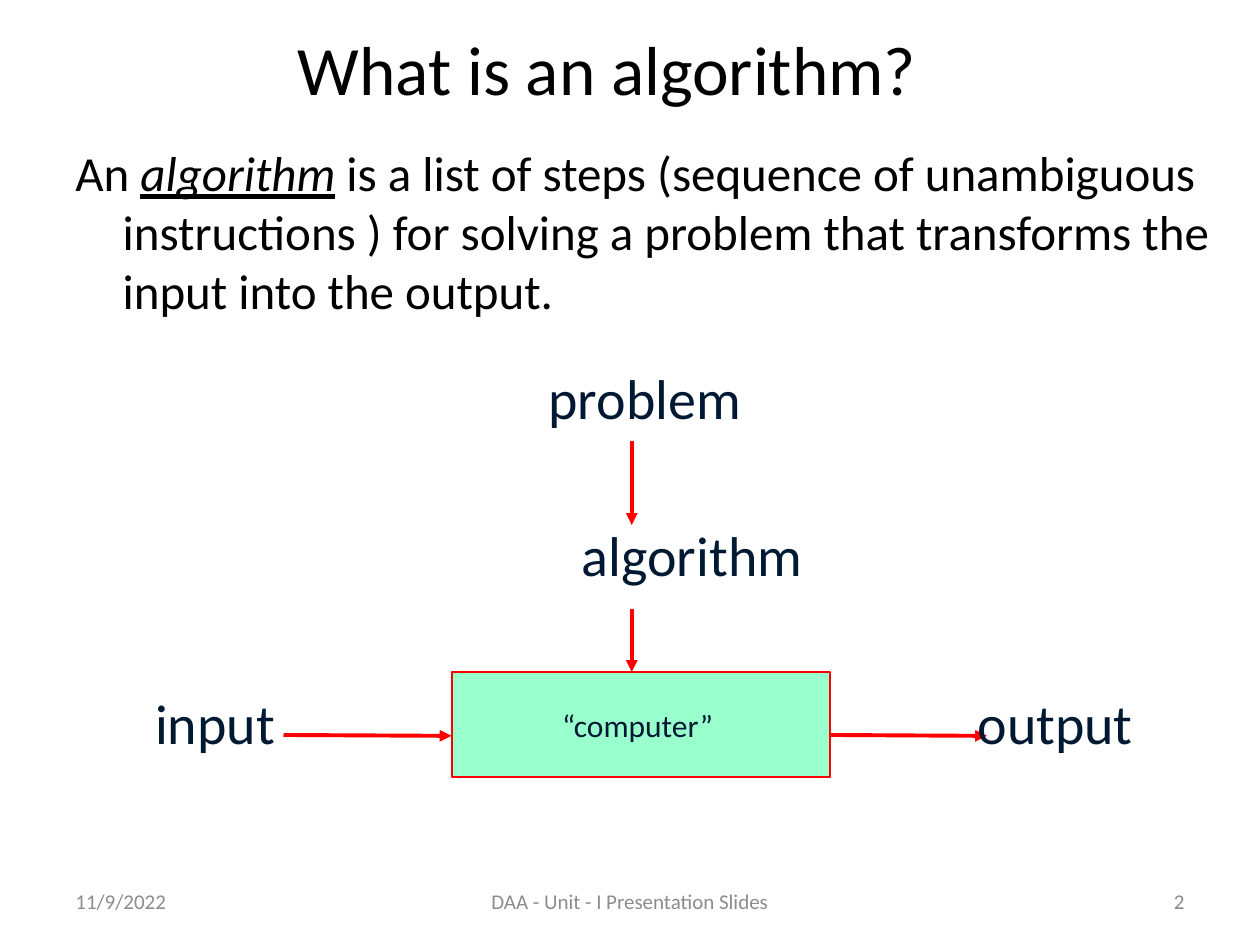
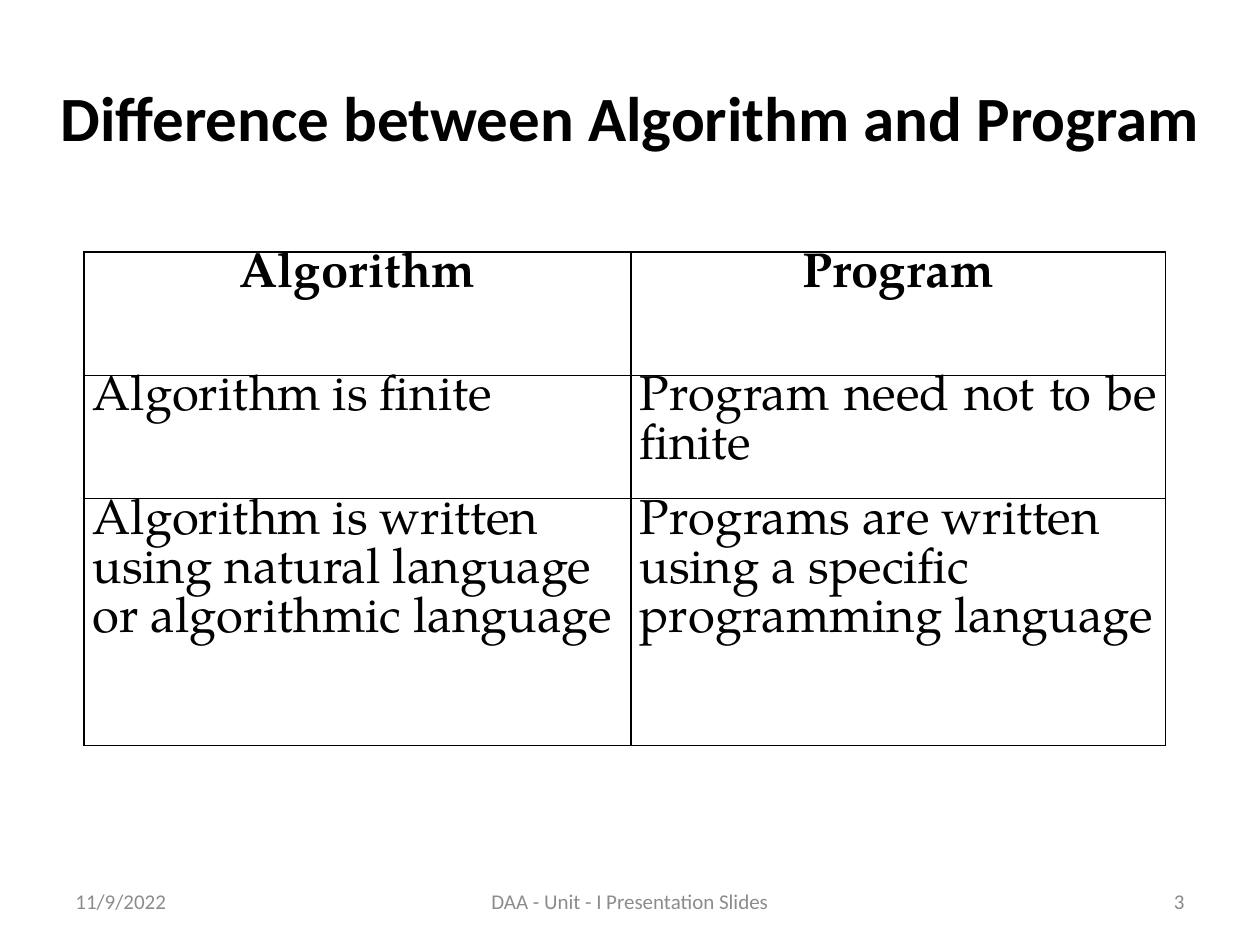
"""Build two slides on algorithms: a definition with a flow, and a comparison table."""
from dataclasses import dataclass

from lxml import etree
from pptx import Presentation, dml, util as u
from pptx.dml import color
from pptx.enum import shapes, text
from pptx.oxml import ns

Pt = u.Pt
LEFT, MID, RIGHT, JUST = (text.PP_ALIGN.LEFT, text.PP_ALIGN.CENTER,
                          text.PP_ALIGN.RIGHT, text.PP_ALIGN.JUSTIFY)
TOP, CORE = text.MSO_ANCHOR.TOP, text.MSO_ANCHOR.MIDDLE


@dataclass(frozen=True)
class Theme:
    sans: str = "Calibri"
    serif: str = "TeX Gyre Pagella"
    black: str = "000000"
    navy: str = "001932"
    red: str = "FF0000"
    mint: str = "99FFCC"
    gray: str = "8C8C8C"
    page: str = "898989"
    title: float = 39.6
    head: float = 36
    label: float = 32
    body: float = 28
    note: float = 18
    small: float = 12


def rgb(code):
    return color.RGBColor.from_string(code)


def write(frame, runs, size, ink, font, align=LEFT, anchor=TOP, bold=False,
          wrap=True, hang=0, before=0):
    frame.word_wrap = wrap
    frame.vertical_anchor = anchor
    para = frame.paragraphs[0]
    para.alignment = align
    para.space_before = Pt(before)
    if hang:
        props = para._p.get_or_add_pPr()
        props.set("marL", str(Pt(hang)))
        props.set("indent", str(-Pt(hang)))
    for part, mark in [(runs, False)] if isinstance(runs, str) else runs:
        run = para.add_run()
        run.text = part
        face = run.font
        face.name, face.size, face.bold = font, Pt(size), bold
        face.italic = face.underline = mark
        face.color.rgb = rgb(ink)


class Deck:
    def __init__(self, theme):
        self.look = theme
        self.file = Presentation()
        self.file.slide_width, self.file.slide_height = Pt(720), Pt(540)
        self.page = None

    def slide(self, number):
        self.page = self.file.slides.add_slide(self.file.slide_layouts[6])
        look = self.look
        for words, left, width, align, ink in (
                ("11/9/2022", 36, 168, LEFT, look.gray),
                ("DAA - Unit - I Presentation Slides", 246, 228, MID, look.gray),
                (str(number), 516, 168, RIGHT, look.page)):
            self.text(words, left, 500.5, width, 28.75, size=look.small,
                      ink=ink, align=align, anchor=CORE)

    def text(self, words, left, top, width, height, **form):
        box = self.page.shapes.add_textbox(Pt(left), Pt(top), Pt(width), Pt(height))
        write(box.text_frame, words,
              **{"font": self.look.sans, "ink": self.look.black, **form})

    def title(self, words, left, top, width, height, size, bold=False):
        self.text(words, left, top, width, height, size=size, bold=bold,
                  align=MID, anchor=CORE)

    def label(self, words, left, top, width):
        self.text(words, left, top, width, 46, size=self.look.label,
                  ink=self.look.navy, align=MID)

    def box(self, words, left, top, width, height):
        look = self.look
        shape = self.page.shapes.add_shape(
            shapes.MSO_SHAPE.RECTANGLE, Pt(left), Pt(top), Pt(width), Pt(height))
        shape.shadow.inherit = False
        shape.fill.solid()
        shape.fill.fore_color.rgb = rgb(look.mint)
        shape.line.color.rgb = rgb(look.red)
        shape.line.width = Pt(1)
        write(shape.text_frame, words, size=look.note, ink=look.navy,
              font=look.sans, align=MID, anchor=CORE, wrap=False)

    def arrow(self, *ends):
        line = self.page.shapes.add_connector(
            shapes.MSO_CONNECTOR.STRAIGHT, *map(Pt, ends))
        line.line.color.rgb = rgb(self.look.red)
        line.line.width = Pt(2.25)
        props = line._element.spPr
        etree.SubElement(props.find(ns.qn("a:ln")), ns.qn("a:tailEnd"), type="triangle")
        etree.SubElement(props, ns.qn("a:effectLst"))

    def edge(self, cell):
        props = cell._tc.get_or_add_tcPr()
        for spot, side in enumerate("LRTB"):
            line = etree.Element(ns.qn("a:ln" + side), w=str(Pt(1)))
            fill = etree.SubElement(line, ns.qn("a:solidFill"))
            etree.SubElement(fill, ns.qn("a:srgbClr"), val=self.look.black)
            props.insert(spot, line)

    def table(self, rows, left, top, widths, heights, aligns):
        grid = self.page.shapes.add_table(
            len(rows), len(widths), Pt(left), Pt(top),
            Pt(sum(widths)), Pt(sum(heights))).table
        grid.first_row = grid.horz_banding = False
        for col, width in zip(grid.columns, widths):
            col.width = Pt(width)
        for i, row in enumerate(rows):
            grid.rows[i].height = Pt(heights[i])
            for j, words in enumerate(row):
                cell = grid.cell(i, j)
                cell.margin_left = cell.margin_right = Pt(5)
                cell.margin_top = cell.margin_bottom = 0
                cell.fill.background()
                self.edge(cell)
                write(cell.text_frame, words, size=self.look.body,
                      ink=self.look.black, font=self.look.serif,
                      align=aligns[i], bold=i == 0)


def define(deck):
    deck.slide(2)
    deck.title("What is an algorithm?", 48, 12, 598, 54, deck.look.title)
    deck.text([("An ", False), ("algorithm", True),
               (" is a list of steps (sequence of unambiguous instructions ) for "
                "solving a problem that transforms the input into the output.", False)],
              36, 78, 684, 422, size=deck.look.body, hang=27, before=7)
    deck.box("“computer” ", 258.5, 384, 216, 60)
    for ends in ((361, 252, 361, 300), (361, 348, 361, 384),
                 (162, 420, 258, 420.5), (474, 420, 564, 420.5)):
        deck.arrow(*ends)
    for words, left, top, width in (
            ("problem", 300, 204, 137), ("algorithm", 299.5, 294, 192),
            ("input", 59, 390, 128), ("output", 539, 390, 128)):
        deck.label(words, left, top, width)


def compare(deck):
    deck.slide(3)
    deck.title("Difference between Algorithm and Program", 0, 21.6, 720, 90,
               deck.look.head, bold=True)
    deck.table(
        [("Algorithm", "Program"),
         ("Algorithm is finite", "Program need not to be finite"),
         ("Algorithm is written using natural language or algorithmic language",
          "Programs are written using a specific programming language")],
        48, 144, (312.5, 305.5), (70.5, 70.5, 141), (MID, JUST, LEFT))


deck = Deck(Theme())
define(deck)
compare(deck)
deck.file.save("out.pptx")
